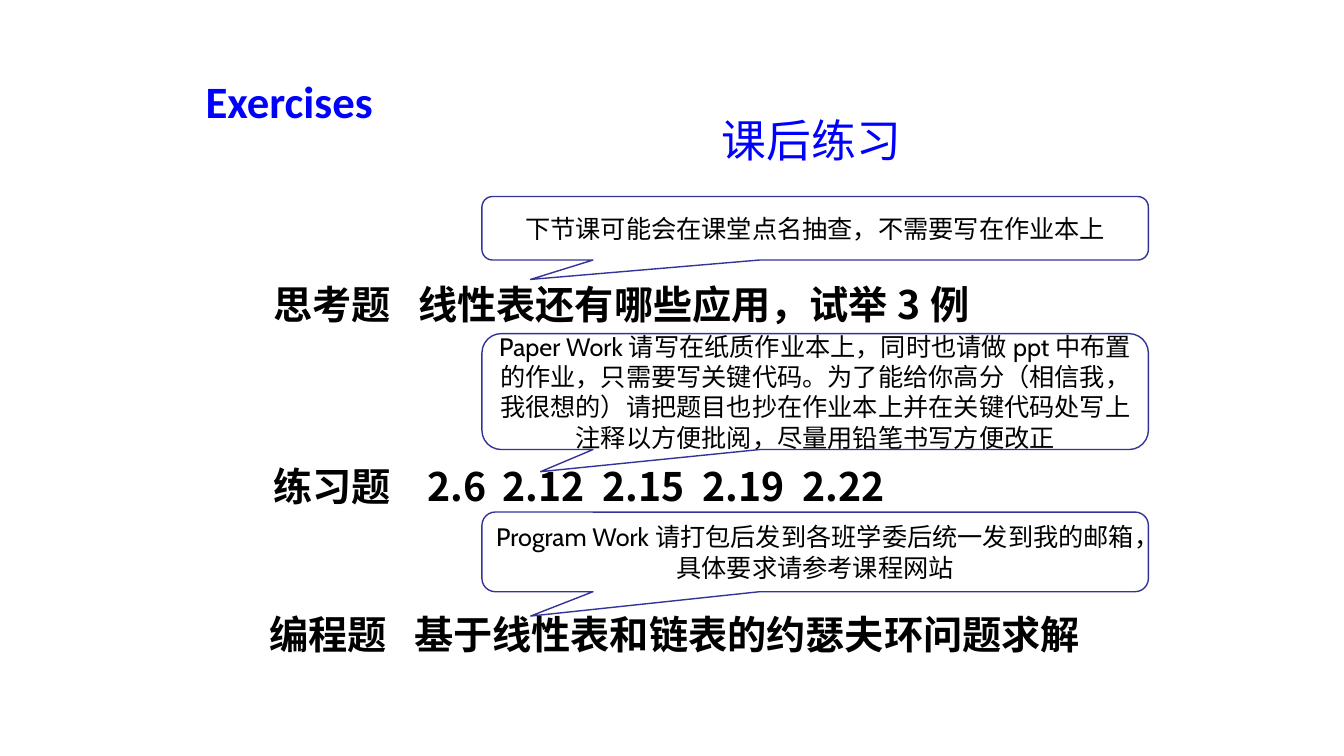
from lxml.etree import SubElement
from pptx import Presentation
from pptx.dml.color import RGBColor
from pptx.enum.shapes import MSO_SHAPE as SHAPE
from pptx.enum.text import MSO_ANCHOR, PP_ALIGN
from pptx.oxml.ns import qn
from pptx.util import Inches, Pt

BLUE = RGBColor(0x00, 0x00, 0xFF)
NAVY = RGBColor(0x33, 0x33, 0x99)
BLACK = RGBColor(0x00, 0x00, 0x00)
WHITE = RGBColor(0xFF, 0xFF, 0xFF)
CJK = "Noto Sans CJK SC"

# Content: headings as text, font, bold, left, top, width
HEADINGS = [
    ("Exercises", "Calibri", True, 1.94, 0.68, 3.47),
    ("课后练习", "Arial", False, 7.06, 1.07, 4.09),
]
# Tasks as label, entries, left, top, width, first tab stop
TASKS = [
    ("思考题", ["线性表还有哪些应用，试举3例"], 2.61, 2.73, 8.62, 1.44),
    ("练习题", ["2.6", "2.12", "2.15", "2.19", "2.22"], 2.61, 4.54, 7.8, 1.53),
    ("编程题", ["基于线性表和链表的约瑟夫环问题求解"], 2.57, 6.01, 8.7, 1.44),
]
# Notes as text, top, height, callout tip (x, y)
NOTES = [
    ("下节课可能会在课堂点名抽查，不需要写在作业本上", 1.95, 0.63, (-0.427, 0.806)),
    ("Paper Work请写在纸质作业本上，同时也请做ppt中布置的作业，"
     "只需要写关键代码。为了能给你高分（相信我，我很想的）"
     "请把题目也抄在作业本上并在关键代码处写上注释以方便批阅，"
     "尽量用铅笔书写方便改正", 3.31, 1.15, (-0.412, 0.691)),
    ("Program Work请打包后发到各班学委后统一发到我的邮箱，"
     "具体要求请参考课程网站", 5.08, 0.79, (-0.427, 0.806)),
]
NOTE_LEFT, NOTE_WIDTH, NOTE_INSET = 4.78, 6.61, 0.08
HEADING_HEIGHT, TASK_HEIGHT = 0.63, 0.57
NUMBER_GAPS = [0, 0.75, 1.74, 2.73, 3.72]  # offsets of the exercise numbers


def format_text(p, font, size, color, bold=False):
    for r in p.runs:
        r.font.name, r.font.size, r.font.bold = font, Pt(size), bold
        r.font.color.rgb = color
        SubElement(r.font._element, qn("a:ea")).set("typeface", CJK)


def add_text(slide, text, left, top, width, height):
    box = slide.shapes.add_textbox(*map(Inches, (left, top, width, height)))
    tf = box.text_frame
    tf.word_wrap = True
    tf.text = text
    return tf.paragraphs[0]


def add_tabs(p, stops):
    tabs = SubElement(p._p.get_or_add_pPr(), qn("a:tabLst"))
    for stop in stops:
        SubElement(tabs, qn("a:tab"), pos=str(Inches(stop)), algn="l")


def add_note(slide, text, top, height, tip):
    sp = slide.shapes.add_shape(SHAPE.ROUNDED_RECTANGULAR_CALLOUT,
                                *map(Inches, (NOTE_LEFT, top, NOTE_WIDTH, height)))
    sp.adjustments[0], sp.adjustments[1] = tip
    sp.shadow.inherit = False
    sp.fill.solid()
    sp.fill.fore_color.rgb = WHITE
    sp.line.color.rgb = NAVY
    sp.line.width = Pt(1)
    tf = sp.text_frame
    tf.word_wrap = True
    tf.vertical_anchor = MSO_ANCHOR.MIDDLE
    tf.margin_left = tf.margin_right = Inches(NOTE_INSET)
    tf.margin_top = tf.margin_bottom = Inches(NOTE_INSET)
    tf.text = text
    p = tf.paragraphs[0]
    p.alignment = PP_ALIGN.CENTER
    format_text(p, "Cabin", 18, BLACK)


def main():
    prs = Presentation()
    prs.slide_width, prs.slide_height = Inches(13.33), Inches(7.5)
    slide = prs.slides.add_slide(prs.slide_layouts[6])

    # Headings
    for text, font, bold, left, top, width in HEADINGS:
        p = add_text(slide, text, left, top, width, HEADING_HEIGHT)
        format_text(p, font, 32, BLUE, bold)

    # Tasks, with entries set on tab stops
    for label, entries, left, top, width, first in TASKS:
        p = add_text(slide, "\t".join([label, *entries]), left, top, width, TASK_HEIGHT)
        add_tabs(p, [first + gap for gap, _ in zip(NUMBER_GAPS, entries)])
        format_text(p, CJK, 28, BLACK, True)

    # Callout notes
    for note in NOTES:
        add_note(slide, *note)

    prs.save("out.pptx")


if __name__ == "__main__":
    main()
